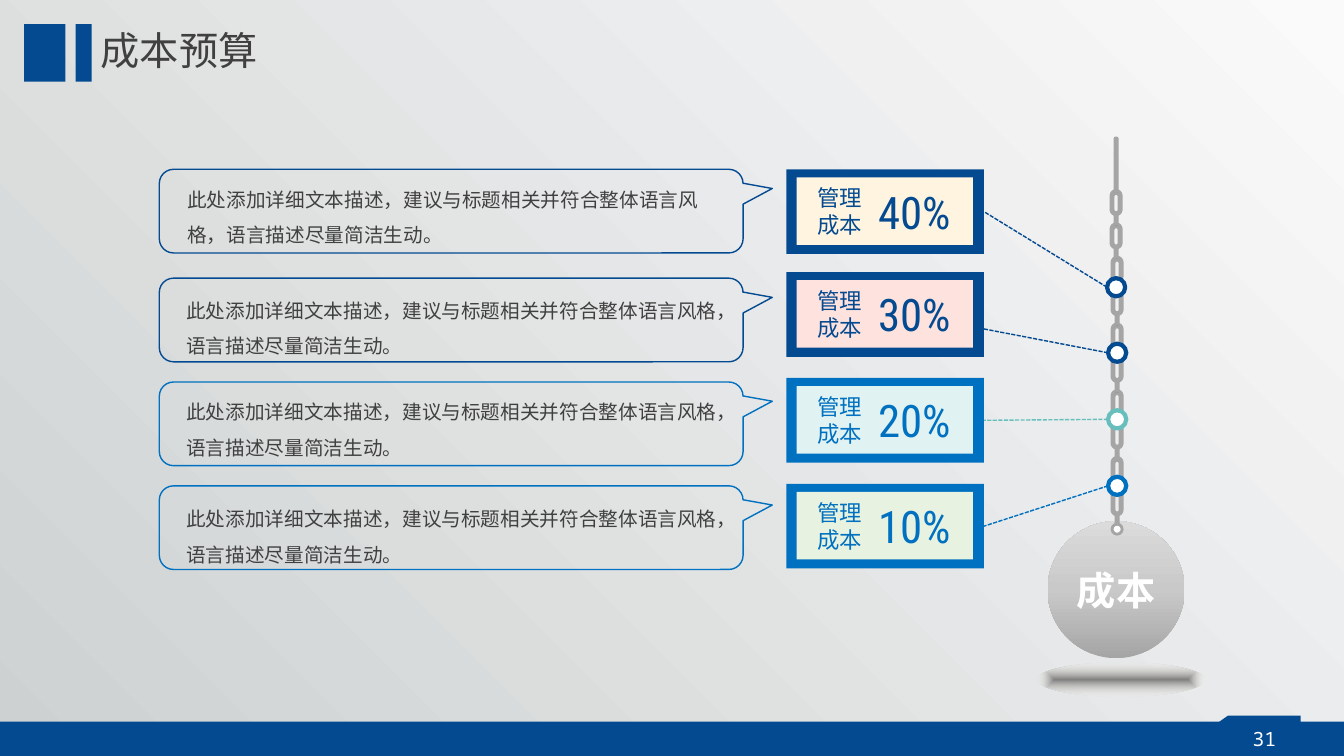
import math
from dataclasses import dataclass

import lxml.etree
import pptx
import pptx.dml.color
import pptx.enum.dml
import pptx.enum.shapes
import pptx.enum.text
import pptx.oxml.ns
import pptx.util

Inches = pptx.util.Inches
Pt = pptx.util.Pt
qn = pptx.oxml.ns.qn
SHAPE = pptx.enum.shapes.MSO_SHAPE
ALIGN = pptx.enum.text.PP_ALIGN
ANCHOR = pptx.enum.text.MSO_ANCHOR


@dataclass(frozen=True)
class Theme:
    navy: str = "044A91"
    blue: str = "0070C0"
    teal: str = "66BFBC"
    white: str = "FFFFFF"
    text: str = "404040"
    steel: str = "808080"
    silver: str = "A5A5A5"
    backdrop: tuple = ((0, "CED1D2", 100), (100, "FAFAFA", 100))
    ball: tuple = ((0, "A5A5A5", 100), (50, "C9C9C9", 100), (100, "DBDBDB", 100))
    shade: tuple = ((0, "808080", 100), (100, "EEECE1", 0))
    mono: str = "Noto Sans Mono"
    cjk: str = "Noto Sans CJK SC"
    condensed: str = "Roboto Condensed"
    heading: int = 28
    percent: int = 32
    label: int = 16
    body: int = 14


T = Theme()
DESCRIPTION = "此处添加详细文本描述，建议与标题相关并符合整体语言风格，语言描述尽量简洁生动。"
# share, box top, box colour, tint, dot colour, dot left, dot top, line end x and y
COSTS = [
    ("40%", 1.68, T.navy, "FEF4DF", T.navy, 10.98, 2.76, 9.76, 2.1),
    ("30%", 2.7, T.navy, "FEE2DE", T.navy, 10.99, 3.41, 9.69, 3.25),
    ("20%", 3.75, T.blue, "E0F2F2", T.teal, 10.99, 4.07, 9.69, 4.16),
    ("10%", 4.8, T.blue, "E8F2E0", T.blue, 10.99, 4.73, 9.69, 5.22),
]
# bubble top, colour, text left, text top, text width
BUBBLES = [
    (1.68, T.navy, 1.76, 1.64, 5.39),
    (2.76, T.navy, 1.75, 2.74, 5.72),
    (3.79, T.blue, 1.75, 3.75, 5.72),
    (4.82, T.blue, 1.75, 4.81, 5.72),
]


def rgb(value):
    return pptx.dml.color.RGBColor.from_string(value)


def paint(sp, fill=None, line=None, width=1):
    sp.shadow.inherit = False
    if fill:
        sp.fill.solid()
        sp.fill.fore_color.rgb = rgb(fill)
    else:
        sp.fill.background()
    if line:
        sp.line.color.rgb = rgb(line)
        sp.line.width = Pt(width)
    else:
        sp.line.fill.background()


def add_shape(slide, kind, box, fill=None, line=None, width=1):
    sp = slide.shapes.add_shape(kind, *map(Inches, box))
    paint(sp, fill, line, width)
    return sp


def set_gradient(fill, element, stops, angle=None):
    """Gradient along an angle in degrees, or from the centre outwards without one."""
    fill.solid()
    solid = element.find(".//" + qn("a:solidFill"))
    grad = lxml.etree.Element(qn("a:gradFill"), rotWithShape="1")
    stop_list = lxml.etree.SubElement(grad, qn("a:gsLst"))
    for place, color, alpha in stops:
        gs = lxml.etree.SubElement(stop_list, qn("a:gs"), pos=str(place * 1000))
        clr = lxml.etree.SubElement(gs, qn("a:srgbClr"), val=color)
        if alpha < 100:
            lxml.etree.SubElement(clr, qn("a:alpha"), val=str(alpha * 1000))
    if angle is None:
        way = lxml.etree.SubElement(grad, qn("a:path"), {"path": "shape"})
        sides = dict.fromkeys("ltrb", "50000")
        lxml.etree.SubElement(way, qn("a:fillToRect"), sides)
    else:
        lxml.etree.SubElement(grad, qn("a:lin"), ang=str(angle * 60000), scaled="0")
    solid.getparent().replace(solid, grad)


def write(sp, text, size, font, color, align=ALIGN.LEFT, bold=False, spacing=None,
          anchor=ANCHOR.TOP, wrap=True):
    tf = sp.text_frame
    tf.text = text
    tf.word_wrap = wrap
    tf.vertical_anchor = anchor
    p = tf.paragraphs[0]
    p.alignment = align
    if spacing:
        p.line_spacing = spacing
    r = p.runs[0]
    r.font.size, r.font.name, r.font.bold = Pt(size), font, bold
    r.font.color.rgb = rgb(color)
    lxml.etree.SubElement(r.font._element, qn("a:ea"), typeface=font)
    return tf


def add_text(slide, box, *args, **kwargs):
    return write(slide.shapes.add_textbox(*map(Inches, box)), *args, **kwargs)


def arc(cx, cy, radius, start, end):
    angles = [math.radians(start + (end - start) * i / 8) for i in range(9)]
    return [(Inches(cx + radius * math.cos(a)), Inches(cy + radius * math.sin(a)))
            for a in angles]


def add_chain_link(slide, cx, top):
    """Oval ring with a short stem below it."""
    stem = [(Inches(cx + dx), Inches(top + 0.33)) for dx in (0.01, -0.01)]
    outer = (arc(cx, top + 0.05, 0.05, 180, 360) + arc(cx, top + 0.19, 0.05, 0, 78)
             + stem + arc(cx, top + 0.19, 0.05, 102, 180))
    hole = arc(cx, top + 0.06, 0.03, 180, 360) + arc(cx, top + 0.19, 0.03, 0, 180)
    builder = slide.shapes.build_freeform(*outer[0], scale=1.0)
    builder.add_line_segments(outer[1:], close=True)
    builder.move_to(*hole[0])
    builder.add_line_segments(hole[1:], close=True)
    paint(builder.convert_to_shape(), T.steel, T.silver, 2)


def add_frame(slide):
    set_gradient(slide.background.fill, slide.element, T.backdrop, 315)
    for box in [(0, 7.16, 13.33, 0.34), (12.18, 7.1, 0.72, 0.4),
                (0.24, 0.24, 0.41, 0.57), (0.75, 0.24, 0.16, 0.57)]:
        add_shape(slide, SHAPE.RECTANGLE, box, T.navy)
    corner = add_shape(slide, SHAPE.RIGHT_TRIANGLE, (11.98, 7.1, 0.2, 0.14), T.navy)
    corner.element.spPr.find(qn("a:xfrm")).set("flipH", "1")
    add_text(slide, (12.32, 7.16, 0.44, 0.34), "31", T.body, T.mono, T.white,
             ALIGN.CENTER, wrap=False)


def add_title(slide, text):
    title = slide.shapes.title
    title.left, title.top = Inches(0.9), Inches(0.24)
    title.width, title.height = Inches(5.25), Inches(0.57)
    tf = write(title, text, T.heading, T.mono, T.text, spacing=0.9, anchor=ANCHOR.MIDDLE)
    tf.auto_size = pptx.enum.text.MSO_AUTO_SIZE.NONE


def add_wrecking_ball(slide):
    ball = add_shape(slide, SHAPE.OVAL, (10.39, 5.17, 1.36, 1.36))
    set_gradient(ball.fill, ball.element, T.ball, 270)
    tf = write(ball, "成本", T.heading, T.cjk, T.white, ALIGN.CENTER, True,
               anchor=ANCHOR.MIDDLE)
    tf.margin_left = tf.margin_right = tf.margin_top = tf.margin_bottom = 0
    add_shape(slide, SHAPE.OVAL, (11.03, 5.2, 0.1, 0.1), T.white, T.silver, 2)
    for i in range(10):
        add_chain_link(slide, 11.07 if i < 2 else 11.08, 1.89 + 0.331 * i)
    add_shape(slide, SHAPE.ROUNDED_RECTANGLE, (11.06, 1.37, 0.02, 0.52),
              T.steel, T.silver, 2)
    shade = add_shape(slide, SHAPE.OVAL, (10.29, 6.57, 1.66, 0.34))
    set_gradient(shade.fill, shade.element, T.shade)


def add_cost(slide, share, top, color, tint, dot_color, dot_x, dot_y, end_x, end_y):
    points = (dot_x, dot_y + 0.09, end_x, end_y)
    line = slide.shapes.add_connector(pptx.enum.shapes.MSO_CONNECTOR.STRAIGHT,
                                      *map(Inches, points))
    line.line.color.rgb = rgb(dot_color)
    line.line.width = Pt(1)
    line.line.dash_style = pptx.enum.dml.MSO_LINE.SQUARE_DOT
    lxml.etree.SubElement(line.element.spPr, qn("a:effectLst"))
    box = add_shape(slide, SHAPE.RECTANGLE, (7.8, top, 1.96, 0.84), color)
    if abs(end_y - top - 0.42) < 0.02:
        line.end_connect(box, 3)
    add_shape(slide, SHAPE.RECTANGLE, (7.9, top + 0.08, 1.75, 0.67), tint)
    add_shape(slide, SHAPE.OVAL, (dot_x, dot_y, 0.18, 0.18), T.white, dot_color, 3)
    add_text(slide, (7.97, top + 0.1, 0.71, 0.64), "管理成本", T.label, T.mono, color,
             ALIGN.CENTER)
    add_text(slide, (8.61, top + 0.1, 0.98, 0.64), share, T.percent, T.condensed, color,
             wrap=False)


def add_bubble(slide, top, color, text_x, text_y, text_width):
    bubble = add_shape(slide, SHAPE.ROUNDED_RECTANGULAR_CALLOUT,
                       (1.58, top, 5.79, 0.83), line=color)
    for i, value in enumerate((0.55, -0.27, 0.17)):
        bubble.adjustments[i] = value
    tf = add_text(slide, (text_x, text_y, text_width, 0.91), DESCRIPTION, T.body, T.cjk,
                  T.text, spacing=1.5, anchor=ANCHOR.MIDDLE)
    tf.margin_top = tf.margin_bottom = 0


def main():
    prs = pptx.Presentation()
    prs.slide_width, prs.slide_height = Inches(13.33), Inches(7.5)
    slide = prs.slides.add_slide(prs.slide_layouts[5])
    add_frame(slide)
    add_title(slide, "成本预算")
    add_wrecking_ball(slide)
    for cost in COSTS:
        add_cost(slide, *cost)
    for bubble in BUBBLES:
        add_bubble(slide, *bubble)
    prs.save("out.pptx")


if __name__ == "__main__":
    main()
